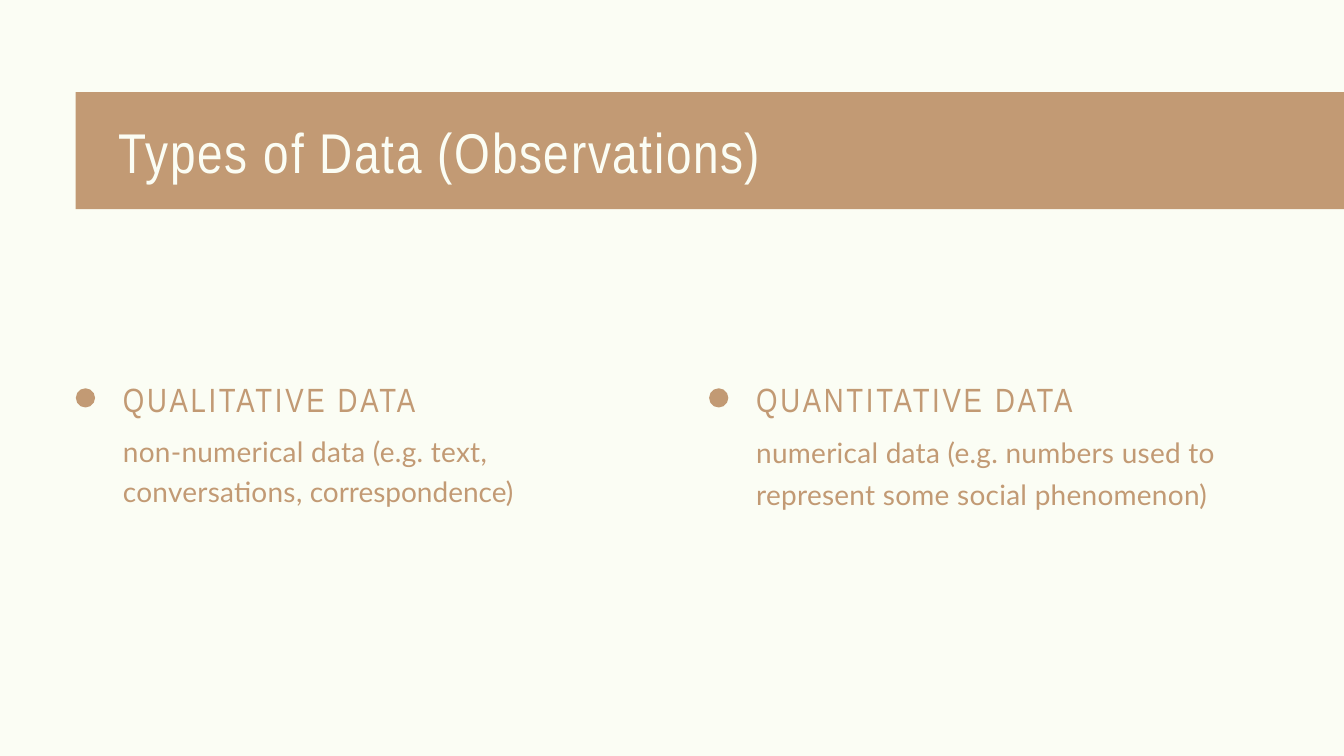
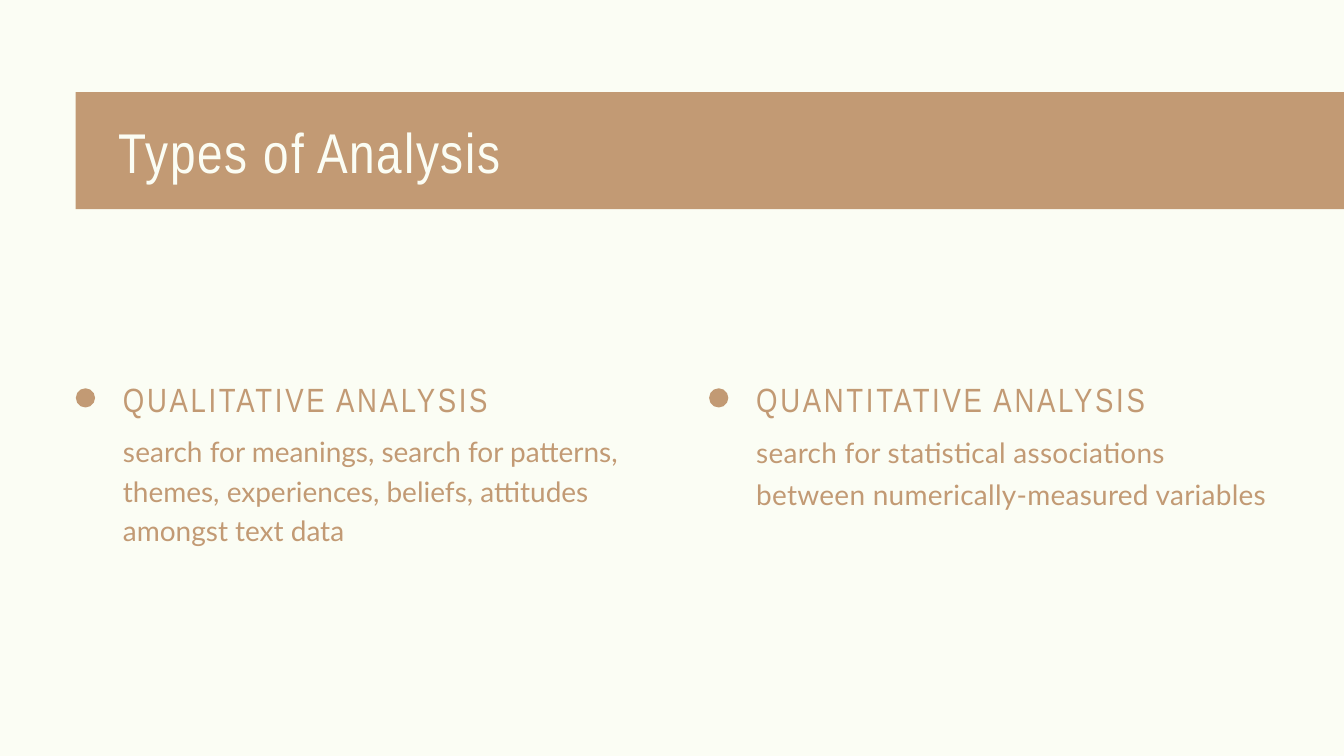
"""Build two slides that contrast qualitative and quantitative research."""
from pptx import Presentation
from pptx.dml.color import RGBColor
from pptx.enum.shapes import MSO_SHAPE
from pptx.enum.text import MSO_AUTO_SIZE
from pptx.util import Pt

RECTANGLE, OVAL = MSO_SHAPE.RECTANGLE, MSO_SHAPE.OVAL
GROW = MSO_AUTO_SIZE.SHAPE_TO_FIT_TEXT

SLIDES = [
    ("Types of Data (Observations)", [
        ("QUALITATIVE DATA",
         [("non-numerical data (e.g. text, conversations", 0.3),
          (", correspondence)", 0)], 82),
        ("QUANTITATIVE DATA",
         [("numerical data (e.g. numbers used to represent some social phenomenon)", 0.3)], 86.5),
    ]),
    ("Types of Analysis", [
        ("QUALITATIVE ANALYSIS",
         [("s", 0.3),
          ("earch for meanings, search for patterns, themes, experiences, "
           "beliefs, attitudes amongst text data", 0)], 124),
        ("QUANTITATIVE ANALYSIS",
         [("search for statistical associations between numerically-measured variables", 0.3)], 131.5),
    ]),
]

COLORS = {"paper": "FBFDF4", "tan": "C29A74"}
STYLES = {
    "title": {"font": "Arial Narrow", "size": 60, "line": 81, "color": "paper"},
    "heading": {"font": "Arial Narrow", "size": 36, "line": 46.8, "color": "tan"},
    "body": {"font": "Lato", "size": 30, "line": 42, "color": "tan"},
    "loose body": {"font": "Lato", "size": 30, "line": 45, "color": "tan"},
}
BODY_LAYOUTS = [("body", 460), ("loose body", 458)]

SLIDE_SIZE = (1440, 810)
BAND = (81, 98.75, 1405.25, 125.25)
TITLE_BOX = (127.25, 117.25, 1170, 77)
COLUMN_LEFT, COLUMN_STEP, COLUMN_WIDTH = 81.25, 678.5, 548.5
TEXT_INDENT = 50.5
HEADING_TOP, HEADING_HEIGHT = 402.5, 45.5
DOT_TOP, DOT_SIZE = 416, 20.6


def rgb(name):
    return RGBColor.from_string(COLORS[name])


def add_block(page, kind, area):
    """Add a plain tan shape."""
    block = page.shapes.add_shape(kind, *map(Pt, area))
    block.shadow.inherit = False
    block.fill.solid()
    block.fill.fore_color.rgb = rgb("tan")
    block.line.fill.background()


def add_text(page, area, spans, style_name):
    """Add one paragraph made of (text, letter spacing) spans."""
    style = STYLES[style_name]
    frame = page.shapes.add_textbox(*map(Pt, area)).text_frame
    frame.margin_left = frame.margin_top = frame.margin_right = frame.margin_bottom = 0
    frame.word_wrap = True
    frame.auto_size = GROW
    para = frame.paragraphs[0]
    para.line_spacing = Pt(style["line"])
    for text, spacing in spans:
        span = para.add_run()
        span.text = text
        span.font.name = style["font"]
        span.font.size = Pt(style["size"])
        span.font.color.rgb = rgb(style["color"])
        span.font._element.set("spc", str(round(spacing * 100)))


def add_column(page, index, heading, spans, body_height):
    """Add a dot, a heading and its explanation."""
    left = COLUMN_LEFT + index * COLUMN_STEP
    text_left = left + TEXT_INDENT
    style_name, body_top = BODY_LAYOUTS[index]
    add_text(page, (text_left, HEADING_TOP, COLUMN_WIDTH, HEADING_HEIGHT),
             [(heading, 2.9)], "heading")
    add_text(page, (text_left, body_top, COLUMN_WIDTH, body_height), spans, style_name)
    add_block(page, OVAL, (left, DOT_TOP, DOT_SIZE, DOT_SIZE))


def add_page(deck, title, columns):
    """Add a slide with a title band over two columns."""
    page = deck.slides.add_slide(deck.slide_layouts[6])
    page.background.fill.solid()
    page.background.fill.fore_color.rgb = rgb("paper")
    for index, column in enumerate(columns):
        add_column(page, index, *column)
    add_block(page, RECTANGLE, BAND)
    add_text(page, TITLE_BOX, [(title, 1.8)], "title")


def main():
    deck = Presentation()
    deck.slide_width, deck.slide_height = map(Pt, SLIDE_SIZE)
    for title, columns in SLIDES:
        add_page(deck, title, columns)
    deck.save("out.pptx")


if __name__ == "__main__":
    main()
